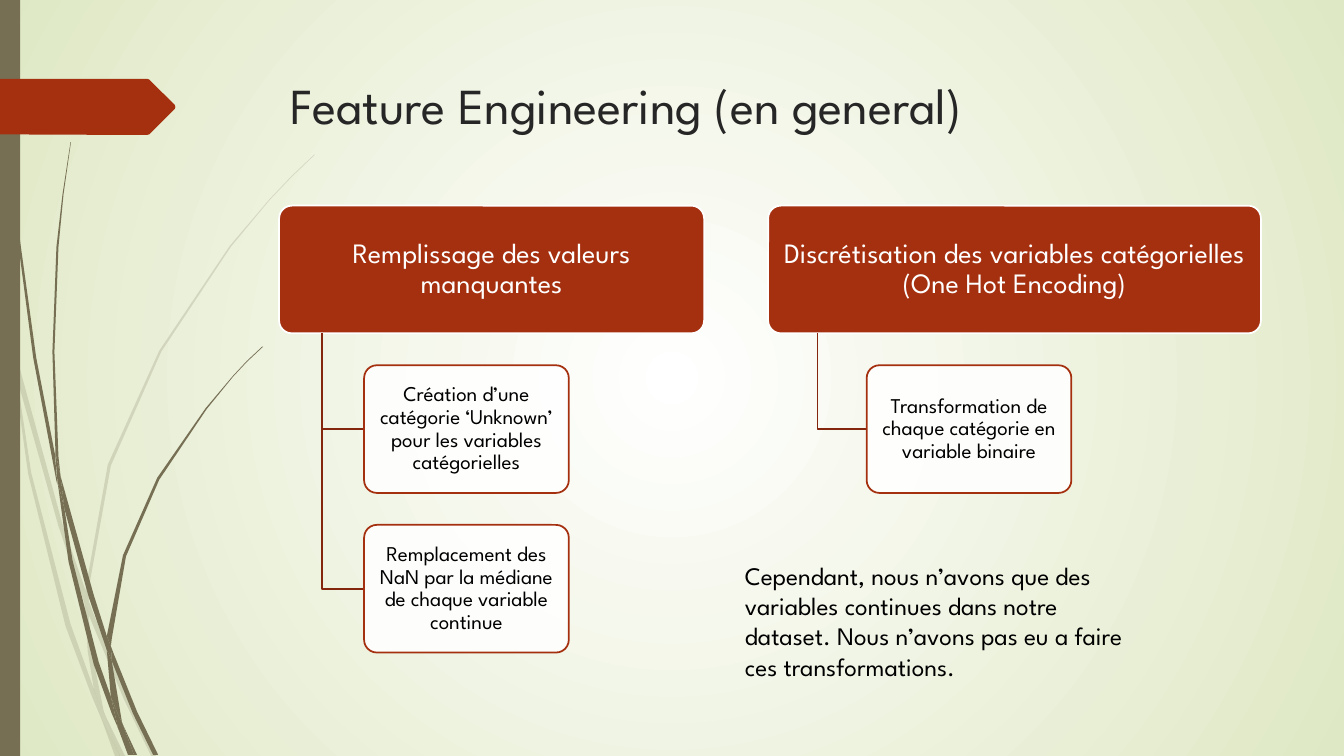
import dataclasses

import lxml.etree
import pptx
import pptx.dml.color
import pptx.enum.shapes
import pptx.enum.text
import pptx.oxml.ns
import pptx.util

Pt = pptx.util.Pt
qn = pptx.oxml.ns.qn
SHAPE = pptx.enum.shapes.MSO_SHAPE
ALIGN = pptx.enum.text.PP_ALIGN
ANCHOR = pptx.enum.text.MSO_ANCHOR


@dataclasses.dataclass(frozen=True)
class Theme:
    font: str = "League Spartan"
    accent: str = "A53010"
    link: str = "83260D"
    grass: str = "766F54"
    glow: str = "FFFFFF"
    rim: str = "DFE8C4"
    white: str = "FFFFFF"
    black: str = "000000"
    heading: str = "262626"
    title_size: int = 36
    branch_size: int = 20
    note_size: int = 18
    leaf_size: int = 15
    outline: float = 1.25


THEME = Theme()
BOX_HEIGHT = 91.2
BOX_GAP = 22.8
BRANCH_TOP = 146.9
LEAF_WIDTH = 146.2
GRASS_UNIT = 0.72

FAINT_GRASS = [
    [(11, 350), (9, 322), (0, 282), (0, 299), (10, 344)],
    [(58, 522), (84, 599), (85, 586), (62, 520), (14, 345), (17, 376)],
    [(92, 607), (88, 596), (88, 610), (123, 694), (150, 750), (155, 750), (127, 692)],
    [(119, 750), (124, 750), (105, 711)],
    [(93, 683), (70, 619), (31, 469), (17, 376), (11, 350), (28, 470), (65, 621),
     (92, 693), (101, 714), (99, 707)],
    [(84, 599), (87, 646), (93, 683), (96, 692), (105, 711), (103, 706), (91, 646),
     (88, 610), (88, 608)],
    [(88, 584), (110, 462), (160, 349), (229, 245), (268, 198), (290, 175), (312, 154),
     (312, 153), (289, 175), (268, 197), (228, 244), (158, 348), (107, 461), (85, 584),
     (85, 586), (88, 596)],
    [(101, 714), (114, 750), (119, 750)],
    [(88, 608), (88, 610), (88, 596), (85, 586), (84, 599)],
    [(96, 692), (93, 683), (99, 707), (101, 714), (119, 750), (105, 711)],
]
DARK_GRASS = [
    [(7, 110), (17, 233), (33, 355), (56, 477), (57, 481), (55, 457), (55, 453),
     (36, 355), (19, 232), (8, 109), (5, 48), (4, 0), (3, 0), (4, 48)],
    [(88, 592), (106, 645), (106, 633), (106, 631), (93, 590), (60, 472), (64, 505)],
    [(113, 649), (110, 641), (111, 656), (132, 708), (152, 749), (157, 749), (136, 706)],
    [(110, 691), (98, 657), (72, 556), (64, 505), (57, 477), (68, 557), (93, 659),
     (111, 708), (117, 722), (116, 717)],
    [(60, 472), (58, 453), (54, 349), (58, 245), (63, 193), (70.4, 141), (70, 141),
     (62, 193), (56, 245), (52, 349), (55, 449)],
    [(133, 749), (136, 749), (122, 719)],
    [(57, 477), (64, 505), (60, 472), (55, 449), (55, 453)],
    [(111, 633), (125, 552), (158, 476), (205, 406), (231, 374), (245, 359), (261, 344),
     (260, 344), (245, 358), (231, 373), (204, 405), (156, 474), (122, 551), (106, 631),
     (110, 641)],
    [(117, 722), (127, 749), (131, 749)],
    [(106, 645), (110, 691), (116, 706), (122, 719), (121, 716), (111, 656), (109, 651)],
    [(106, 645), (109, 651), (111, 656), (110, 641), (106, 631), (106, 633)],
    [(116, 706), (110, 691), (116, 717), (117, 722), (130, 749), (133, 749), (122, 719)],
]
MARKER = [(124.9, 77.7), (106.6, 96), (105, 96.4), (97.8, 96.4), (0, 96), (0, 56.3),
          (105, 56.3), (106.6, 56.8), (124.9, 75), (125.3, 76.4)]


def rgb(value):
    return pptx.dml.color.RGBColor.from_string(value)


def paint(shape, fill=None, line=None, opacity=100):
    shape.shadow.inherit = False
    if fill:
        shape.fill.solid()
        shape.fill.fore_color.rgb = rgb(fill)
        if opacity < 100:
            color = shape._element.spPr.find(qn("a:solidFill"))[0]
            lxml.etree.SubElement(color, qn("a:alpha"), val=str(opacity * 1000))
    else:
        shape.fill.background()
    if line:
        shape.line.color.rgb = rgb(line)
        shape.line.width = Pt(THEME.outline)
    else:
        shape.line.fill.background()


def paint_background(page):
    fill = page.background.fill
    fill.gradient()
    for stop, color in zip(fill.gradient_stops, (THEME.glow, THEME.rim)):
        stop.color.rgb = rgb(color)
    gradient = page.background._cSld.find(".//" + qn("a:gradFill"))
    gradient.remove(gradient.find(qn("a:lin")))
    circle = lxml.etree.SubElement(gradient, qn("a:path"), path="circle")
    lxml.etree.SubElement(circle, qn("a:fillToRect"), **dict.fromkeys("ltrb", "50000"))


def add_outline(page, points, closed=True, unit=1):
    corners = [(Pt(x * unit), Pt(y * unit)) for x, y in points]
    builder = page.shapes.build_freeform(*corners[0])
    builder.add_line_segments(corners[1:], close=closed)
    return builder.convert_to_shape()


def write(shape, text, size, color, inset, align=ALIGN.LEFT, anchor=ANCHOR.TOP):
    frame = shape.text_frame
    frame.word_wrap = True
    frame.vertical_anchor = anchor
    frame.margin_left = frame.margin_right = Pt(inset)
    frame.margin_top = frame.margin_bottom = Pt(inset)
    para = frame.paragraphs[0]
    para.alignment = align
    span = para.add_run()
    span.text = text
    span.font.name = THEME.font
    span.font.size = Pt(size)
    span.font.color.rgb = rgb(color)
    return para


def add_shape(page, kind, left, top, width, height):
    return page.shapes.add_shape(kind, Pt(left), Pt(top), Pt(width), Pt(height))


def add_text(page, text, left, top, width, height, size, color):
    box = page.shapes.add_textbox(Pt(left), Pt(top), Pt(width), Pt(height))
    write(box, text, size, color, 3.6)


def add_card(page, text, left, top, width, size, color, fill, line, opacity, inset):
    card = add_shape(page, SHAPE.ROUNDED_RECTANGLE, left, top, width, BOX_HEIGHT)
    card.adjustments[0] = 0.1
    paint(card, fill, line, opacity)
    para = write(card, text, size, color, inset, ALIGN.CENTER, ANCHOR.MIDDLE)
    para.line_spacing = 0.9


def add_branch(page, left, width, heading, leaves):
    add_card(page, heading, left, BRANCH_TOP, width, THEME.branch_size,
             THEME.white, THEME.accent, THEME.white, 100, 3)
    trunk, leaf_left = left + width / 10, left + width / 5
    bottom = BRANCH_TOP + BOX_HEIGHT
    for index, leaf in enumerate(leaves):
        top = bottom + BOX_GAP + index * (BOX_HEIGHT + BOX_GAP)
        middle = top + BOX_HEIGHT / 2
        elbow = [(trunk, bottom), (trunk, middle), (leaf_left, middle)]
        paint(add_outline(page, elbow, closed=False), line=THEME.link)
        add_card(page, leaf, leaf_left, top, LEAF_WIDTH, THEME.leaf_size,
                 THEME.black, THEME.white, THEME.accent, 90, 2.4)


def add_decor(page):
    for pieces, opacity in ((FAINT_GRASS, 20), (DARK_GRASS, 100)):
        for points in pieces:
            piece = add_outline(page, points, unit=GRASS_UNIT)
            paint(piece, THEME.grass, opacity=opacity)
    paint(add_shape(page, SHAPE.RECTANGLE, 0, 0, 14.4, 540), THEME.grass)
    paint(add_outline(page, MARKER), THEME.accent)


def main():
    deck = pptx.Presentation()
    deck.slide_width, deck.slide_height = Pt(960), Pt(540)
    page = deck.slides.add_slide(deck.slide_layouts[6])
    paint_background(page)
    add_decor(page)
    add_text(page, "Feature Engineering (en general)", 204.2, 49.2, 702, 100.8,
             THEME.title_size, THEME.heading)
    add_branch(page, 199.4, 303.6, "Remplissage des valeurs manquantes", [
        "Création d’une catégorie ‘Unknown’ pour les variables catégorielles",
        "Remplacement des NaN par la médiane de chaque variable continue",
    ])
    add_branch(page, 548.7, 352,
               "Discrétisation des variables catégorielles (One Hot Encoding)",
               ["Transformation de chaque catégorie en variable binaire"])
    add_text(page, "Cependant, nous n’avons que des variables continues dans notre "
             "dataset. Nous n’avons pas eu a faire ces transformations.",
             528.5, 396.6, 281, 117.4, THEME.note_size, THEME.black)
    deck.save("out.pptx")


if __name__ == "__main__":
    main()
